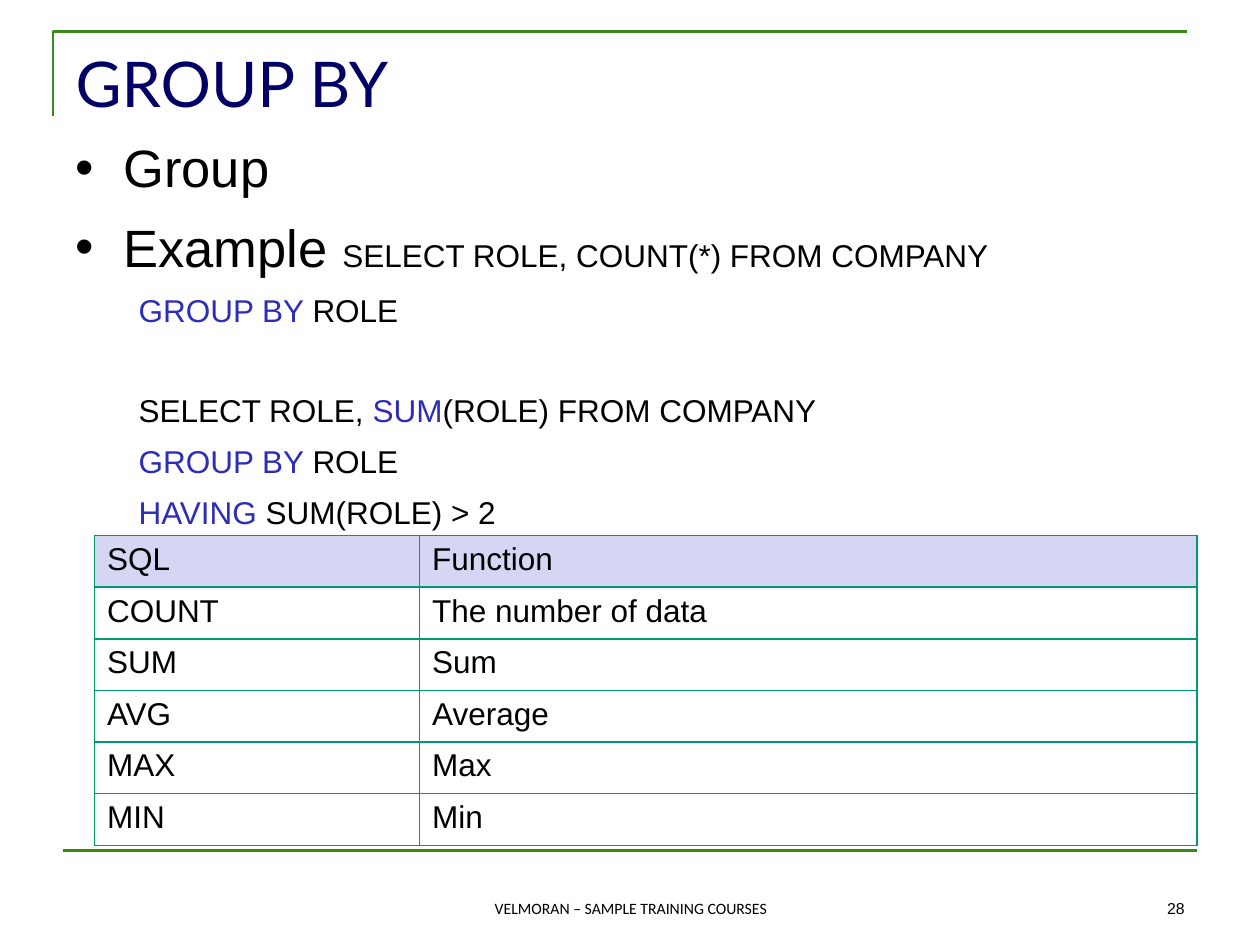
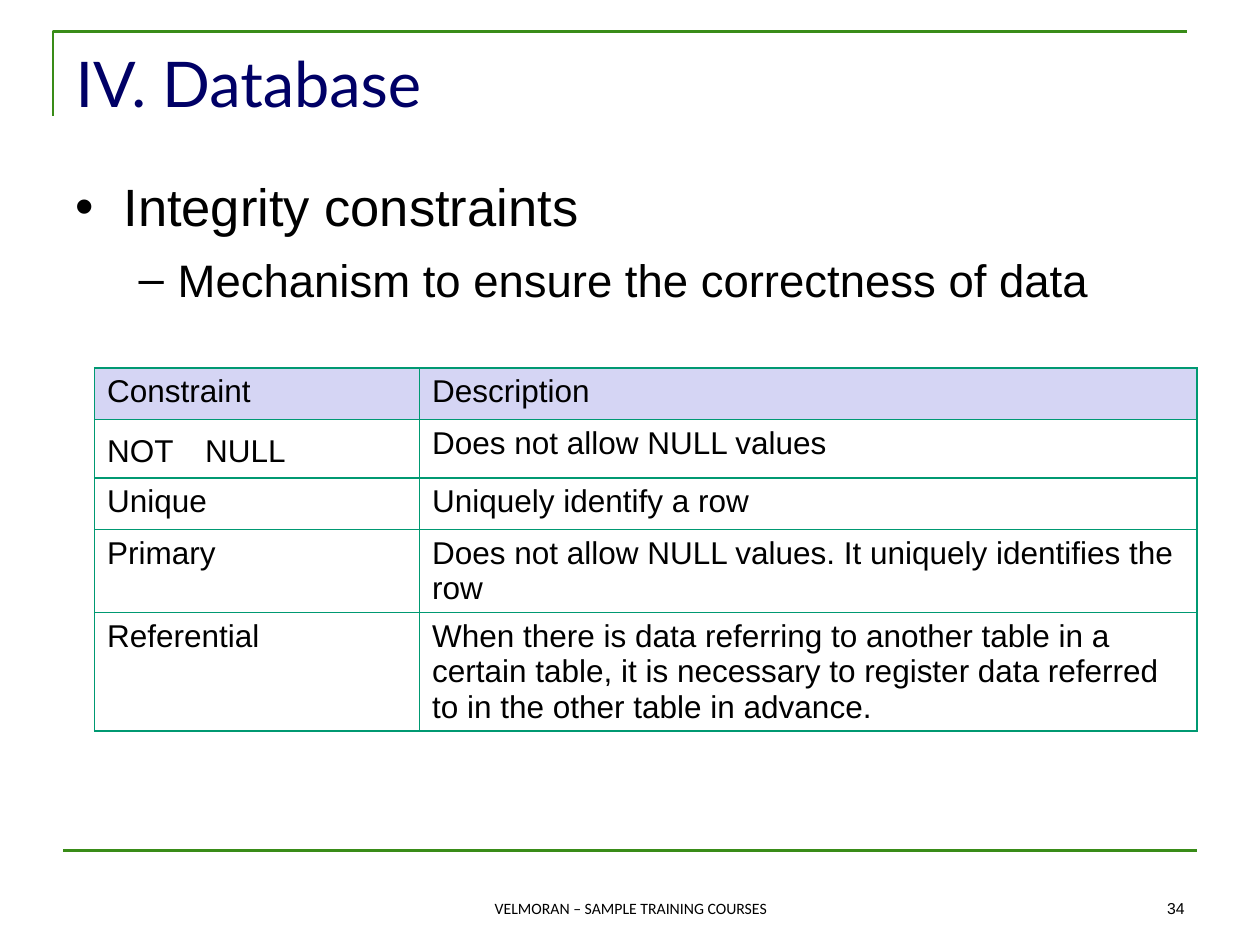
import dataclasses

import lxml.etree
import pptx
import pptx.dml.color
import pptx.enum.shapes
import pptx.enum.text
import pptx.oxml.ns
import pptx.util

Inches = pptx.util.Inches
Pt = pptx.util.Pt
Align = pptx.enum.text.PP_ALIGN
Anchor = pptx.enum.text.MSO_ANCHOR


@dataclasses.dataclass(frozen=True)
class Theme:
    frame: str = "398C18"
    title: str = "000066"
    text: str = "000000"
    keyword: str = "2D2DB9"
    border: str = "009972"
    header_fill: str = "D5D5F4"
    cell_fill: str = "FFFFFF"
    title_font: str = "Lato"
    body_font: str = "Arial"
    footer_font: str = "Calibri"
    title_size: int = 36
    bullet_size: int = 30
    dash_size: int = 26
    code_size: int = 18
    footer_size: int = 9
    line_width: float = 1.5
    border_width: float = 1


@dataclasses.dataclass(frozen=True)
class ListStyle:
    level: int
    indent: float
    hanging: float
    size: int
    space_before: float
    bullet: str = ""


THEME = Theme()
BULLET = ListStyle(0, 0.38, 0.38, THEME.bullet_size, 7.5, "•")
DASH = ListStyle(1, 0.81, 0.31, THEME.dash_size, 6.5, "–")
CODE = ListStyle(1, 0.81, 0.31, THEME.code_size, 6.5)
# A statement that starts one code line below the previous one
NEXT_STATEMENT = dataclasses.replace(CODE, space_before=34.7)
FOOTER = "VELMORAN – SAMPLE TRAINING COURSES"


def rgb(color):
    return pptx.dml.color.RGBColor.from_string(color)


def add_child(parent, tag, **attributes):
    child = lxml.etree.SubElement(parent, pptx.oxml.ns.qn(tag))
    for name, value in attributes.items():
        child.set(name, str(value))
    return child


class Deck:
    """Holds the theme, the presentation and the slide being built."""

    def __init__(self, theme):
        self.theme = theme
        self.presentation = pptx.Presentation()
        self.presentation.slide_width = Inches(10)
        self.presentation.slide_height = Inches(7.5)
        self.slide = None

    def start_slide(self, title, number):
        layout = self.presentation.slide_layouts[1]
        self.slide = self.presentation.slides.add_slide(layout)
        self.add_frame()
        self.set_title(title)
        theme = self.theme
        self.add_footer(str(number), 7.17, 2.33, Align.RIGHT, theme.body_font)
        self.add_footer(FOOTER, 3.42, 3.17, Align.CENTER, theme.footer_font)

    def style_font(self, font, name, size, color):
        font.name = name
        font.size = Pt(size)
        font.color.rgb = rgb(color)

    def style_line(self, line):
        line.color.rgb = rgb(self.theme.frame)
        line.width = Pt(self.theme.line_width)

    def add_frame(self):
        """Draw the corner line above the title and the rule above the footer."""
        shapes = self.slide.shapes
        left, top = Inches(0.42), Inches(0.25)
        builder = shapes.build_freeform(left, Inches(0.92))
        builder.add_line_segments([(left, top), (Inches(9.42), top)], close=False)
        corner = builder.convert_to_shape()
        corner.fill.background()
        corner.shadow.inherit = False
        self.style_line(corner.line)

        rule = shapes.add_connector(
            pptx.enum.shapes.MSO_CONNECTOR.STRAIGHT,
            Inches(0.5), Inches(6.75), Inches(9.5), Inches(6.75))
        self.style_line(rule.line)
        add_child(rule._element.spPr, "a:effectLst")

    def place(self, shape, left, top, width, height):
        shape.left, shape.top = Inches(left), Inches(top)
        shape.width, shape.height = Inches(width), Inches(height)
        frame = shape.text_frame
        frame.word_wrap = True
        frame.auto_size = pptx.enum.text.MSO_AUTO_SIZE.NONE
        frame.vertical_anchor = Anchor.TOP
        return frame

    def set_title(self, title):
        frame = self.place(self.slide.shapes.title, 0.5, 0.3, 7.26, 0.77)
        paragraph = frame.paragraphs[0]
        paragraph.text = title
        paragraph.alignment = Align.LEFT
        theme = self.theme
        self.style_font(paragraph.font, theme.title_font, theme.title_size, theme.title)

    def add_footer(self, text, left, width, alignment, font_name):
        box = self.slide.shapes.add_textbox(0, 0, 0, 0)
        frame = self.place(box, left, 6.83, width, 0.5)
        frame.vertical_anchor = Anchor.BOTTOM
        paragraph = frame.paragraphs[0]
        paragraph.text = text
        paragraph.alignment = alignment
        self.style_font(paragraph.font, font_name, self.theme.footer_size, self.theme.text)

    def set_list(self, top, height, items):
        """Fill the body; an item is a style and (text, run changes) pairs."""
        frame = self.place(self.slide.placeholders[1], 0.5, top, 9, height)
        for index, (style, runs) in enumerate(items):
            paragraph = frame.add_paragraph() if index else frame.paragraphs[0]
            paragraph.level = style.level
            paragraph.line_spacing = 1.05
            paragraph.space_before = Pt(style.space_before if index else 0)
            self.set_bullet(paragraph, style)
            self.style_font(
                paragraph.font, self.theme.body_font, style.size, self.theme.text)
            for text, changes in runs:
                run = paragraph.add_run()
                run.text = text
                if "color" in changes:
                    run.font.color.rgb = rgb(changes["color"])
                if "size" in changes:
                    run.font.size = Pt(changes["size"])

    def set_bullet(self, paragraph, style):
        properties = paragraph._p.get_or_add_pPr()
        properties.set("marL", str(Inches(style.indent)))
        properties.set("indent", str(-Inches(style.hanging)))
        if style.bullet:
            add_child(properties, "a:buFont", typeface=self.theme.body_font)
            add_child(properties, "a:buChar", char=style.bullet)
        else:
            add_child(properties, "a:buNone")

    def add_table(self, top, rows):
        widths, row_height = (2.58, 6.17), 0.41
        table = self.slide.shapes.add_table(
            len(rows), len(widths), Inches(0.75), Inches(top),
            Inches(sum(widths)), Inches(row_height * len(rows))).table
        for column, width in zip(table.columns, widths):
            column.width = Inches(width)
        for row_index, texts in enumerate(rows):
            table.rows[row_index].height = Inches(row_height)
            fill = self.theme.cell_fill if row_index else self.theme.header_fill
            for column_index, text in enumerate(texts):
                self.fill_cell(table.cell(row_index, column_index), text, fill)

    def fill_cell(self, cell, text, fill):
        theme = self.theme
        properties = cell._tc.get_or_add_tcPr()
        for side in ("a:lnL", "a:lnR", "a:lnT", "a:lnB"):
            border = add_child(properties, side, w=Pt(theme.border_width))
            add_child(add_child(border, "a:solidFill"), "a:srgbClr", val=theme.border)
        cell.fill.solid()
        cell.fill.fore_color.rgb = rgb(fill)
        paragraph = cell.text_frame.paragraphs[0]
        paragraph.text = text
        font = paragraph.font
        font.bold = False
        self.style_font(font, theme.body_font, theme.code_size, theme.text)


def plain(text, **changes):
    return text, changes


def keyword(text):
    return text, {"color": THEME.keyword}


def build_group_by(deck):
    deck.start_slide("GROUP BY", 28)
    group_by_role = [keyword("GROUP BY "), plain("ROLE")]
    deck.set_list(1, 3.19, [
        (BULLET, [plain("Group")]),
        (BULLET, [plain("Example "),
                  plain("SELECT ROLE, COUNT(*) FROM COMPANY", size=THEME.code_size)]),
        (CODE, group_by_role),
        (NEXT_STATEMENT, [plain("SELECT ROLE, "), keyword("SUM"),
                          plain("(ROLE) FROM COMPANY")]),
        (CODE, group_by_role),
        (CODE, [keyword("HAVING"), plain(" SUM(ROLE) > 2")]),
    ])
    deck.add_table(4.25, [
        ("SQL", "Function"),
        ("COUNT", "The number of data"),
        ("SUM", "Sum"),
        ("AVG", "Average"),
        ("MAX", "Max"),
        ("MIN", "Min"),
    ])


def build_constraints(deck):
    deck.start_slide("IV. Database", 34)
    deck.set_list(1.31, 1.19, [
        (BULLET, [plain("Integrity constraints")]),
        (DASH, [plain("Mechanism to ensure the correctness of data")]),
    ])
    deck.add_table(2.92, [
        ("Constraint", "Description"),
        ("NOT　NULL", "Does not allow NULL values"),
        ("Unique", "Uniquely identify a row"),
        ("Primary", "Does not allow NULL values. It uniquely identifies the row"),
        ("Referential",
         "When there is data referring to another table in a certain table, it is "
         "necessary to register data referred to in the other table in advance."),
    ])


def main():
    deck = Deck(THEME)
    build_group_by(deck)
    build_constraints(deck)
    deck.presentation.save("out.pptx")


if __name__ == "__main__":
    main()
